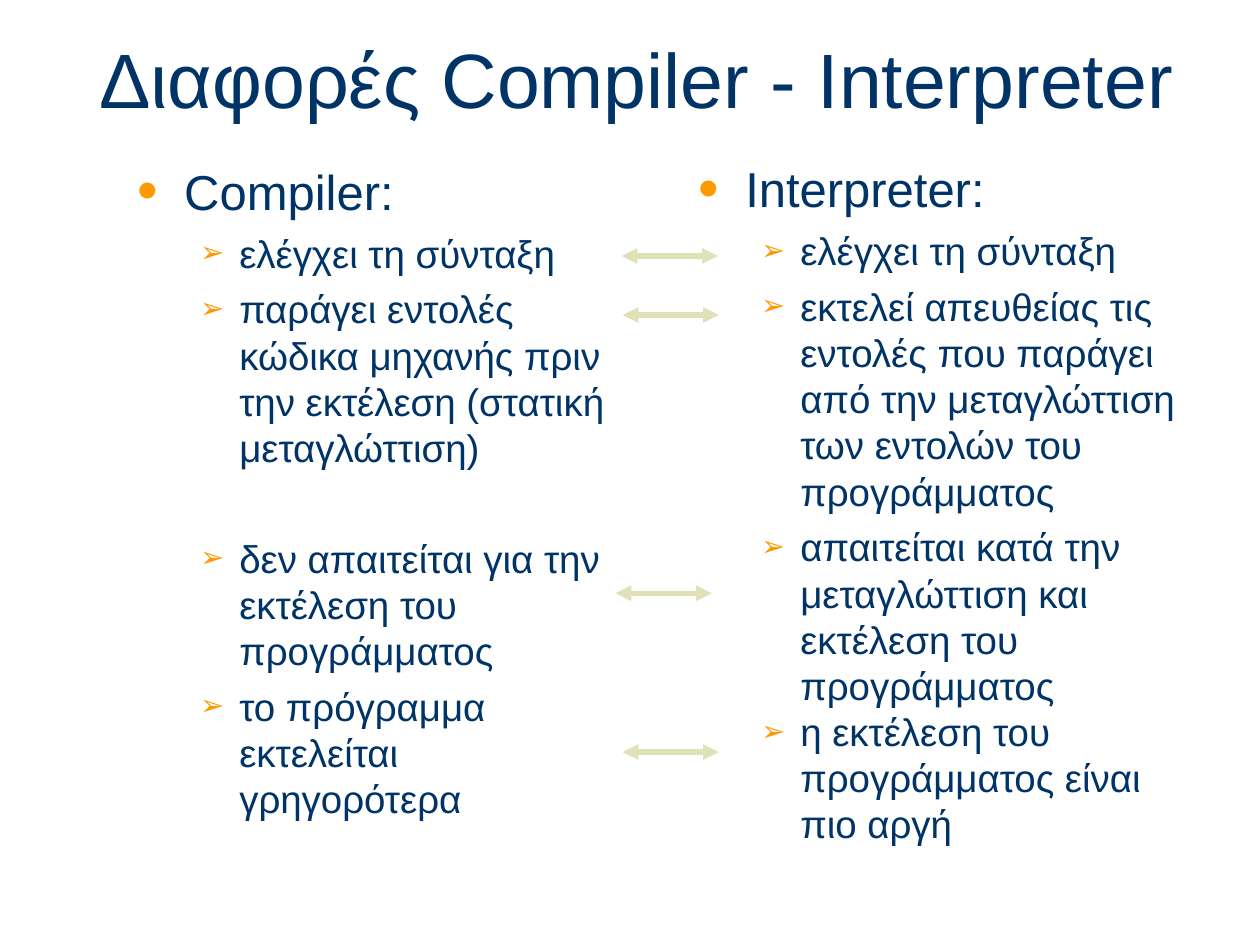
from dataclasses import dataclass

from lxml import etree
from pptx import Presentation
from pptx import util as u
from pptx.dml.color import RGBColor
from pptx.enum import shapes, text
from pptx.oxml.ns import qn


@dataclass(frozen=True)
class Theme:
    font: str = "Arial"
    ink: RGBColor = RGBColor.from_string("003366")
    arrow: RGBColor = RGBColor.from_string("E1E1B7")
    bullet: str = "FF9900"
    title_size: int = 44
    heading_size: int = 28
    point_size: int = 22
    arrow_width: int = 3


@dataclass(frozen=True)
class Box:
    left: float
    top: float
    width: float
    height: float


@dataclass(frozen=True)
class Level:
    depth: int
    size: int
    margin: float
    hanging: float
    bullet: str
    bullet_percent: int


@dataclass(frozen=True)
class Point:
    wording: str
    space_before: float = 5.5


@dataclass(frozen=True)
class Column:
    box: Box
    heading: str
    points: tuple[Point, ...]


THEME = Theme()
HEADING = Level(0, THEME.heading_size, 0.95, 0.95, "•", 120)
POINT = Level(1, THEME.point_size, 2.06, 0.79, "➢", 75)
HEADING_SPACE = 10.5

TITLE = "Διαφορές Compiler - Interpreter"
TITLE_BOX = Box(1.75, 0.38, 23.34, 2.39)

COLUMNS = (
    Column(Box(2.51, 3.12, 10.06, 14.53), "Compiler:", (
        Point("ελέγχει τη σύνταξη"),
        Point("παράγει εντολές κώδικα μηχανής πριν την εκτέλεση (στατική μεταγλώττιση)"),
        Point("δεν απαιτείται για την εκτέλεση του προγράμματος", 37),
        Point("το πρόγραμμα εκτελείται γρηγορότερα"),
    )),
    Column(Box(13.82, 3.07, 10.59, 14.83), "Interpreter:", (
        Point("ελέγχει τη σύνταξη"),
        Point("εκτελεί απευθείας τις εντολές που παράγει από την μεταγλώττιση "
              "των εντολών του προγράμματος"),
        Point("απαιτείται κατά την μεταγλώττιση και εκτέλεση του προγράμματος"),
        Point("η εκτέλεση του προγράμματος είναι πιο αργή", 0),
    )),
)

ARROW_LENGTH = 1.94
ARROW_STARTS = ((12.53, 5.16), (12.55, 6.35), (12.41, 11.96), (12.55, 15.16))


def place(placeholder, box: Box) -> None:
    placeholder.left, placeholder.top = u.Cm(box.left), u.Cm(box.top)
    placeholder.width, placeholder.height = u.Cm(box.width), u.Cm(box.height)
    placeholder.text_frame.auto_size = text.MSO_AUTO_SIZE.NONE
    placeholder.text_frame.word_wrap = True


def add_run(paragraph, wording: str, size: int) -> None:
    run = paragraph.add_run()
    run.text = wording
    run.font.name = THEME.font
    run.font.size = u.Pt(size)
    run.font.color.rgb = THEME.ink


def set_bullet(paragraph, level: Level) -> None:
    properties = paragraph._p.get_or_add_pPr()
    properties.set("marL", str(u.Cm(level.margin)))
    properties.set("indent", str(-u.Cm(level.hanging)))
    colour = etree.SubElement(properties, qn("a:buClr"))
    etree.SubElement(colour, qn("a:srgbClr"), val=THEME.bullet)
    etree.SubElement(properties, qn("a:buSzPct"), val=str(level.bullet_percent * 1000))
    etree.SubElement(properties, qn("a:buFont"), typeface=THEME.font)
    etree.SubElement(properties, qn("a:buChar"), char=level.bullet)


def fill_item(paragraph, wording: str, level: Level, space_before: float) -> None:
    paragraph.level = level.depth
    paragraph.space_before = u.Pt(space_before)
    set_bullet(paragraph, level)
    add_run(paragraph, wording, level.size)


def fill_title(placeholder) -> None:
    place(placeholder, TITLE_BOX)
    placeholder.text_frame.vertical_anchor = text.MSO_ANCHOR.MIDDLE
    paragraph = placeholder.text_frame.paragraphs[0]
    paragraph.alignment = text.PP_ALIGN.LEFT
    add_run(paragraph, TITLE, THEME.title_size)


def fill_column(placeholder, column: Column) -> None:
    place(placeholder, column.box)
    frame = placeholder.text_frame
    fill_item(frame.paragraphs[0], column.heading, HEADING, HEADING_SPACE)
    for point in column.points:
        fill_item(frame.add_paragraph(), point.wording, POINT, point.space_before)


def add_double_arrow(slide, left: float, top: float) -> None:
    arrow = slide.shapes.add_connector(
        shapes.MSO_CONNECTOR.STRAIGHT,
        u.Cm(left), u.Cm(top), u.Cm(left + ARROW_LENGTH), u.Cm(top))
    arrow.line.color.rgb = THEME.arrow
    arrow.line.width = u.Pt(THEME.arrow_width)
    outline = arrow.line._get_or_add_ln()
    for end in ("a:headEnd", "a:tailEnd"):
        etree.SubElement(outline, qn(end), type="triangle")
    etree.SubElement(arrow._element.spPr, qn("a:effectLst"))


def main() -> None:
    deck = Presentation()
    deck.slide_width, deck.slide_height = u.Cm(25.4), u.Cm(19.05)
    two_content = deck.slide_layouts[3]
    slide = deck.slides.add_slide(two_content)
    fill_title(slide.shapes.title)
    for index, column in enumerate(COLUMNS, start=1):
        fill_column(slide.placeholders[index], column)
    for left, top in ARROW_STARTS:
        add_double_arrow(slide, left, top)
    deck.save("out.pptx")


if __name__ == "__main__":
    main()
